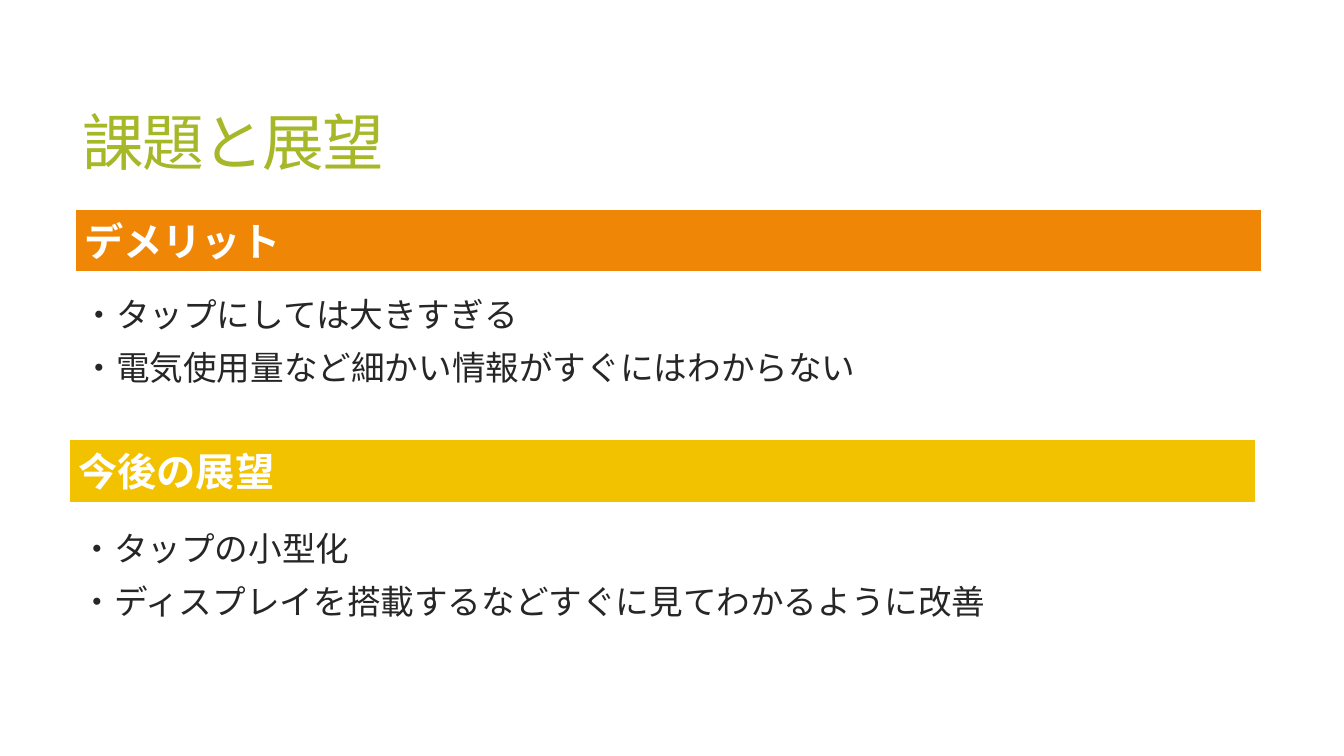
import pptx
import pptx.dml.color
import pptx.enum.shapes
import pptx.enum.text
import pptx.oxml
import pptx.oxml.ns
import pptx.util


def color(hex_string):
    return pptx.dml.color.RGBColor.from_string(hex_string)


class SlideBuilder:
    COLUMNS = 100
    ROWS = 100
    BODY_FONT = "Noto Sans CJK JP"
    TITLE_FONT = "Calibri"
    GREEN, DARK, WHITE = "A6B727", "262626", "FFFFFF"
    CONTENT_WIDTH = 88.35
    BAR_HEIGHT = 8.4

    def __init__(self, deck):
        self.deck = deck
        self.page = deck.slides.add_slide(deck.slide_layouts[6])

    def area(self, column, row, width, height):
        column_size = self.deck.slide_width / self.COLUMNS
        row_size = self.deck.slide_height / self.ROWS
        return (
            round(column * column_size),
            round(row * row_size),
            round(width * column_size),
            round(height * row_size),
        )

    def style(self, span, size, hex_string, font, bold=False):
        span.font.size = pptx.util.Pt(size)
        span.font.color.rgb = color(hex_string)
        span.font.bold = bold
        span.font.name = font
        properties = span.font._element
        east_asian = pptx.oxml.parse_xml(
            f'<a:ea {pptx.oxml.ns.nsdecls("a")} typeface="{self.BODY_FONT}"/>'
        )
        properties.find(pptx.oxml.ns.qn("a:latin")).addnext(east_asian)

    def text_box(self, column, row, height):
        box = self.page.shapes.add_textbox(
            *self.area(column, row, self.CONTENT_WIDTH, height)
        )
        box.text_frame.word_wrap = True
        return box.text_frame

    def title(self, text, column, row, height):
        frame = self.text_box(column, row, height)
        frame.vertical_anchor = pptx.enum.text.MSO_ANCHOR.MIDDLE
        frame.text = text
        para = frame.paragraphs[0]
        para.line_spacing = 0.85
        span = para.runs[0]
        self.style(span, 44, self.GREEN, self.TITLE_FONT)
        span.font._element.set("spc", "-120")

    def bar(self, text, column, row, fill):
        box = self.page.shapes.add_shape(
            pptx.enum.shapes.MSO_SHAPE.RECTANGLE,
            *self.area(column, row, self.CONTENT_WIDTH, self.BAR_HEIGHT),
        )
        box.shadow.inherit = False
        box.fill.solid()
        box.fill.fore_color.rgb = color(fill)
        box.line.color.rgb = color(self.WHITE)
        box.line.width = pptx.util.Pt(1.5)
        frame = box.text_frame
        frame.vertical_anchor = pptx.enum.text.MSO_ANCHOR.MIDDLE
        frame.text = text
        para = frame.paragraphs[0]
        para.alignment = pptx.enum.text.PP_ALIGN.LEFT
        self.style(para.runs[0], 28, self.WHITE, self.BODY_FONT, bold=True)

    def points(self, lines, column, row, height):
        frame = self.text_box(column, row, height)
        frame.text = "\n".join(lines)
        for index, para in enumerate(frame.paragraphs):
            para.line_spacing = 0.85
            para.space_before = pptx.util.Pt(13 if index else 0)
            self.style(para.runs[0], 24, self.DARK, self.BODY_FONT)


def main():
    deck = pptx.Presentation()
    deck.slide_width = pptx.util.Inches(13.33)
    deck.slide_height = pptx.util.Inches(7.5)

    slide = SlideBuilder(deck)
    slide.title("課題と展望", 5.4, 7.33, 24.13)
    slide.bar("デメリット", 5.55, 27.6, "EF8606")
    slide.points(
        ["・タップにしては大きすぎる", "・電気使用量など細かい情報がすぐにはわからない"],
        5.4, 39.07, 20.27,
    )
    slide.bar("今後の展望", 5.1, 58.13, "F2C100")
    slide.points(
        ["・タップの小型化", "・ディスプレイを搭載するなどすぐに見てわかるように改善"],
        5.25, 70, 16.27,
    )
    deck.save("out.pptx")


if __name__ == "__main__":
    main()
